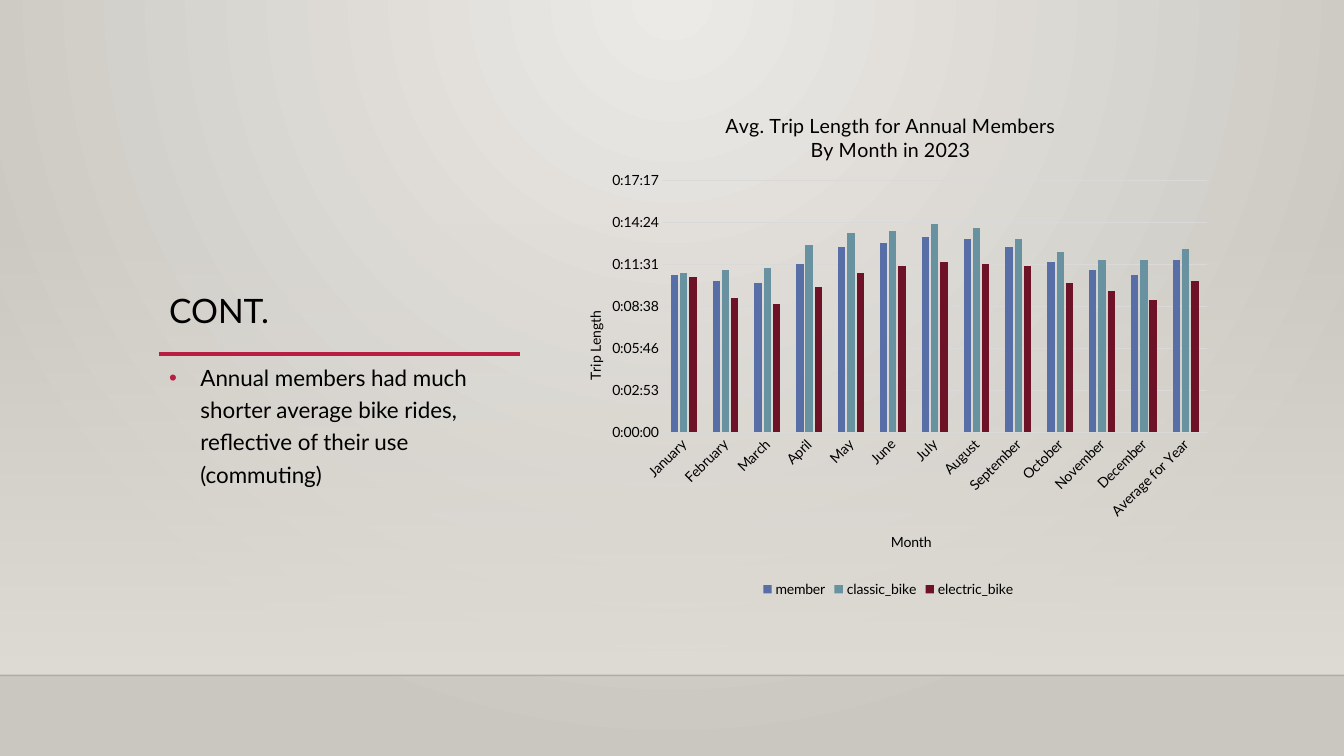
"""Build the slide on average trip length for annual members."""
from pptx import Presentation
from pptx.chart import data as chart_data
from pptx.dml.color import RGBColor
from pptx.enum import chart as ch, shapes, text
from pptx.oxml import parse_xml
from pptx.oxml.ns import nsdecls, qn
from pptx.util import Inches, Pt

BLACK = RGBColor(0, 0, 0)
CRIMSON = RGBColor(0xB7, 0x1E, 0x42)
GRID_GREY = RGBColor(0xD9, 0xD9, 0xD9)
BACK_LIGHT = RGBColor(0xEC, 0xEA, 0xE7)
BACK_DARK = RGBColor(0xCA, 0xC7, 0xC1)
FLOOR = RGBColor(0xDF, 0xDB, 0xD5)
FONT = "Lato"


def write_text(frame, wording, size=10, spacing=1.0, before=0):
    for index, line in enumerate(wording.split("\n")):
        paragraph = frame.add_paragraph() if index else frame.paragraphs[0]
        paragraph.line_spacing = spacing
        paragraph.space_before = Pt(before)
        run = paragraph.add_run()
        run.text = line
        run.font.name = FONT
        run.font.size = Pt(size)
        run.font.bold = False
        run.font.color.rgb = BLACK


def place_in_chart(element, position, **fractions):
    for old in element.findall(qn("c:layout")):
        element.remove(old)
    target = '<c:layoutTarget val="inner"/>' if "w" in fractions else ""
    modes = "".join(f'<c:{side}Mode val="edge"/>' for side in "xy")
    values = "".join(f'<c:{side} val="{value}"/>' for side, value in fractions.items())
    element.insert(position, parse_xml(
        f'<c:layout {nsdecls("c")}><c:manualLayout>{target}{modes}{values}'
        "</c:manualLayout></c:layout>"))


deck = Presentation()
deck.slide_width, deck.slide_height = Inches(13.33), Inches(7.5)
slide = deck.slides.add_slide(deck.slide_layouts[6])

backdrop = slide.background.fill
backdrop.gradient()
for stop, color in zip(backdrop.gradient_stops, (BACK_LIGHT, BACK_DARK)):
    stop.color.rgb = color
gradient = slide.background._cSld.find(".//" + qn("a:gradFill"))
gradient.replace(gradient.find(qn("a:lin")), parse_xml(
    f'<a:path {nsdecls("a")} path="circle">'
    '<a:fillToRect l="43000" t="0" r="43000" b="100000"/></a:path>'))

floor_glow = slide.shapes.add_shape(
    shapes.MSO_SHAPE.RECTANGLE, 0, Inches(2.21), Inches(13.33), Inches(4.49))
floor_glow.shadow.inherit = False
floor_glow.line.fill.background()
floor_glow.fill.gradient()
floor_glow.fill.gradient_angle = 270
for stop in floor_glow.fill.gradient_stops:
    stop.color.rgb = FLOOR
first_color = floor_glow._element.spPr.find(".//" + qn("a:srgbClr"))
first_color.append(parse_xml(f'<a:alpha {nsdecls("a")} val="0"/>'))

for left, right, level, color, weight, opacity in (
        (0, 13.33, 6.7, BLACK, 1, 20), (1.58, 5.16, 3.51, CRIMSON, 2.5, 100)):
    rule = slide.shapes.add_connector(
        shapes.MSO_CONNECTOR.STRAIGHT,
        Inches(left), Inches(level), Inches(right), Inches(level))
    rule.line.color.rgb = color
    rule.line.width = Pt(weight)
    rule._element.spPr.append(parse_xml(f'<a:effectLst {nsdecls("a")}/>'))
    if opacity < 100:
        rule._element.spPr.find(".//" + qn("a:srgbClr")).append(
            parse_xml(f'<a:alpha {nsdecls("a")} val="{opacity * 1000}"/>'))

heading = slide.shapes.add_textbox(
    Inches(1.58), Inches(0.87), Inches(3.58), Inches(2.46)).text_frame
heading.word_wrap = True
heading.vertical_anchor = text.MSO_ANCHOR.BOTTOM
write_text(heading, "CONT.", size=24, spacing=0.9)

finding = slide.shapes.add_textbox(
    Inches(1.58), Inches(3.51), Inches(3.58), Inches(2.46)).text_frame
finding.word_wrap = True
write_text(finding, "Annual members had much shorter average bike rides, "
           "reflective of their use (commuting)", size=16, spacing=1.2, before=10)
bullet = finding.paragraphs[0]._p.get_or_add_pPr()
bullet.set("marL", str(Inches(0.31)))
bullet.set("indent", str(Inches(-0.31)))
for part in (f'<a:buClr {nsdecls("a")}><a:srgbClr val="{CRIMSON}"/></a:buClr>',
             f'<a:buFont {nsdecls("a")} typeface="Arial"/>',
             f'<a:buChar {nsdecls("a")} char="•"/>'):
    bullet.append(parse_xml(part))

trip_lengths = (
    ("member", RGBColor(0x58, 0x6E, 0xA6),
     (0.0075, 0.0072, 0.0071, 0.008, 0.0088, 0.009, 0.0093,
      0.0092, 0.0088, 0.0081, 0.0077, 0.0075, 0.0082)),
    ("classic_bike", RGBColor(0x68, 0x92, 0xA0),
     (0.0076, 0.0077, 0.0078, 0.0089, 0.0095, 0.0096, 0.0099,
      0.0097, 0.0092, 0.0086, 0.0082, 0.0082, 0.0087)),
    ("electric_bike", RGBColor(0x6E, 0x12, 0x28),
     (0.0074, 0.0064, 0.0061, 0.0069, 0.0076, 0.0079, 0.0081,
      0.008, 0.0079, 0.0071, 0.0067, 0.0063, 0.0072)),
)
trips = chart_data.CategoryChartData(number_format="[h]:mm:ss;@")
trips.categories = (
    "January", "February", "March", "April", "May", "June", "July", "August",
    "September", "October", "November", "December", "Average for Year")
for name, color, lengths in trip_lengths:
    trips.add_series(name, lengths)
chart = slide.shapes.add_chart(
    ch.XL_CHART_TYPE.COLUMN_CLUSTERED, Inches(5.52), Inches(0.87),
    Inches(6.58), Inches(5.1), trips).chart
chart.font.name = FONT
chart.font.size = Pt(10)
chart.font.color.rgb = BLACK

columns = chart.plots[0]
columns.gap_width, columns.overlap = 219, -27
columns.vary_by_categories = False
for series, (name, color, lengths) in zip(columns.series, trip_lengths):
    series.format.fill.solid()
    series.format.fill.fore_color.rgb = color

months, durations = chart.category_axis, chart.value_axis
for axis in (months, durations):
    axis.major_tick_mark = axis.minor_tick_mark = ch.XL_TICK_MARK.NONE
    axis.tick_labels.font.name = FONT
    axis.tick_labels.font.size = Pt(10)
    axis.tick_labels.font.color.rgb = BLACK
months._element.find(qn("c:txPr")).find(qn("a:bodyPr")).set("rot", "-2700000")
durations.minimum_scale, durations.maximum_scale = 0, 0.012
durations.major_unit = 0.002
durations.tick_labels.number_format = "[h]:mm:ss;@"
durations.tick_labels.number_format_is_linked = False
durations.format.line.fill.background()
for line in (months.format.line, durations.major_gridlines.format.line):
    line.color.rgb = GRID_GREY
    line.width = Pt(0.75)

for title, wording, size, x, y in (
        (chart.chart_title, "Avg. Trip Length for Annual Members\nBy Month in 2023",
         14, 0.25, 0.04),
        (months.axis_title, "Month", 10, 0.5, 0.86),
        (durations.axis_title, "Trip Length", 10, 0.04, 0.43)):
    write_text(title.text_frame, wording, size=size)
    place_in_chart(title._element, 1, x=x, y=y)
length_body = durations.axis_title.text_frame._txBody.find(qn("a:bodyPr"))
length_body.set("rot", "-5400000")
length_body.set("vert", "horz")
chart.chart_title.include_in_layout = False
place_in_chart(chart._chartSpace.chart.plotArea, 0, x=0.16, y=0.18, w=0.82, h=0.49)

chart.has_legend = True
chart.legend.position = ch.XL_LEGEND_POSITION.BOTTOM
chart.legend.include_in_layout = False
chart.legend.font.name = FONT
chart.legend.font.size = Pt(10)
chart.legend.font.color.rgb = BLACK

deck.save("out.pptx")
